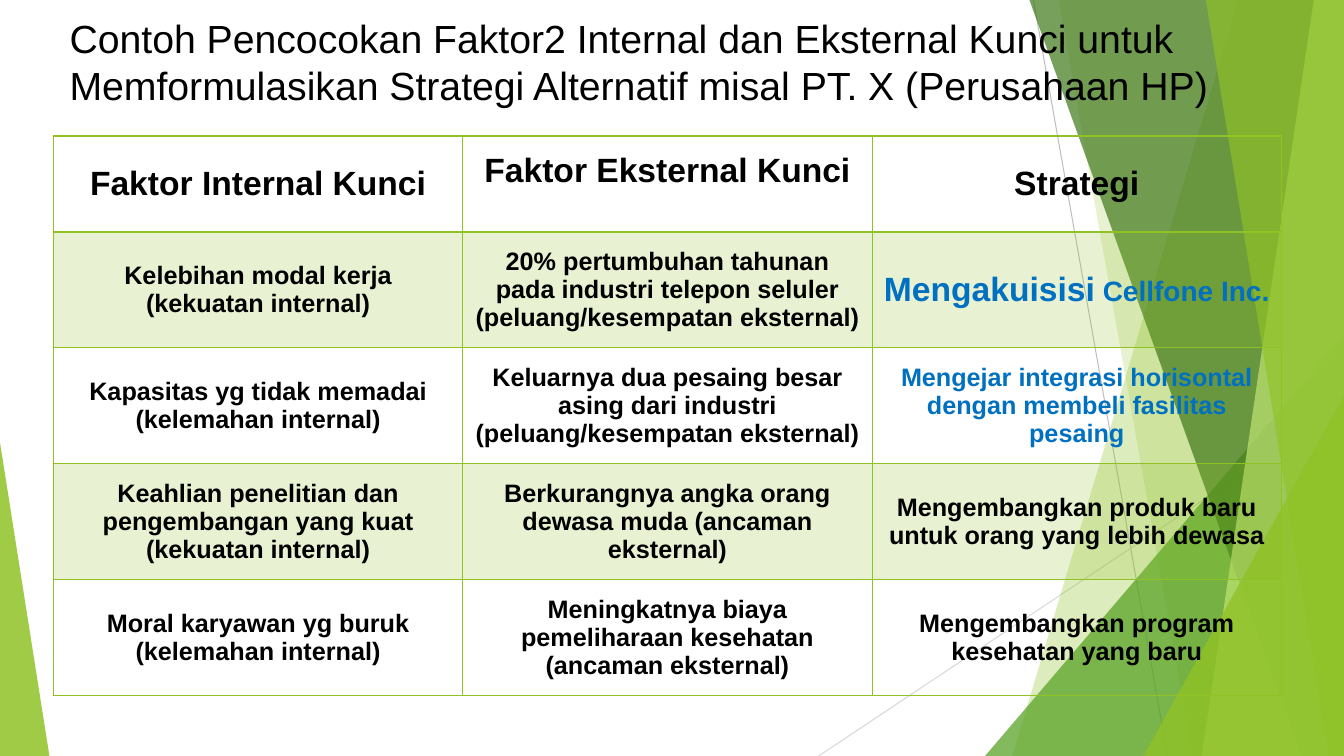
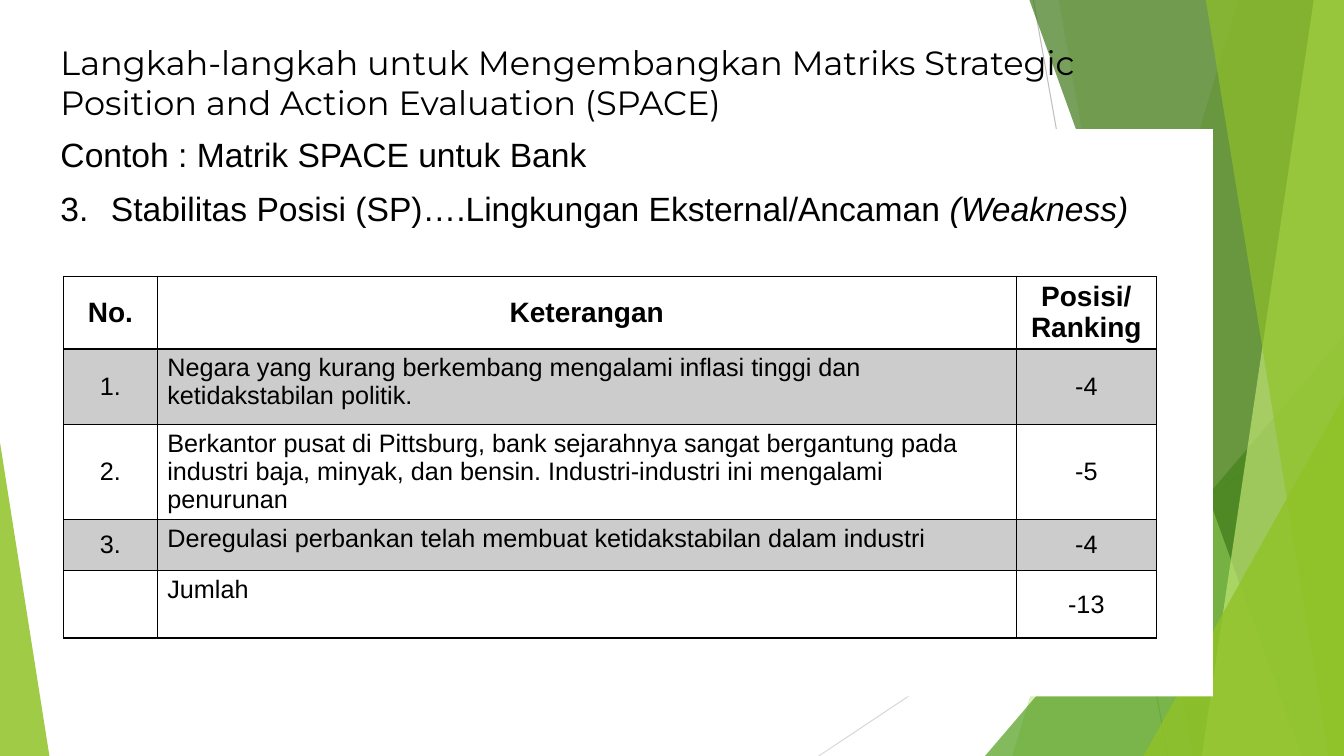
from lxml import etree
from pptx import Presentation
from pptx.dml.color import RGBColor
from pptx.enum.shapes import MSO_CONNECTOR, MSO_SHAPE
from pptx.enum.text import MSO_ANCHOR, MSO_AUTO_SIZE, PP_ALIGN
from pptx.oxml.ns import qn
from pptx.util import Inches, Pt

TRIANGLE, STRAIGHT = MSO_SHAPE.ISOSCELES_TRIANGLE, MSO_CONNECTOR.STRAIGHT
TOP, MIDDLE, BOTTOM = MSO_ANCHOR.TOP, MSO_ANCHOR.MIDDLE, MSO_ANCHOR.BOTTOM
LEFT, CENTER = PP_ALIGN.LEFT, PP_ALIGN.CENTER

BLACK = RGBColor(0x00, 0x00, 0x00)
WHITE = RGBColor(0xFF, 0xFF, 0xFF)
BLUE = RGBColor(0x00, 0x70, 0xC0)
LIME = RGBColor(0x90, 0xC2, 0x26)
GREEN = RGBColor(0x54, 0xA0, 0x21)
DARK_GREEN = RGBColor(0x3F, 0x78, 0x19)
PALE_LIME = RGBColor(0xC0, 0xE4, 0x74)
GRAY = RGBColor(0xBF, 0xBF, 0xBF)
LIGHT_GRAY = RGBColor(0xD9, 0xD9, 0xD9)

W, H = 13.33, 7.5
LINES = [((10.25, 0), (11.58, H), GRAY), ((W, 4.03), (8.12, H), LIGHT_GRAY)]
FACETS = [
    ("band", 12.28, 10.04, LIME, 30),
    ("band", 10.5, 11.83, LIME, 20),
    ("triangle", (9.77, 3.33, 3.56, 4.17), 1, GREEN, 72),
    ("band", 10.21, 12.91, DARK_GREEN, 70),
    ("band", 13.03, 11.92, PALE_LIME, 70),
    ("band", 11.96, 13.18, LIME, 65),
    ("triangle", (11.34, 3.93, 1.99, 3.57), 1, LIME, 80),
    ("triangle", (0, 4.39, 0.49, 3.11), 0, LIME, 85),
]

MATCH_TITLE = ("Contoh Pencocokan Faktor2 Internal dan Eksternal Kunci untuk "
               "Memformulasikan Strategi Alternatif misal PT. X (Perusahaan HP)")
MATCH_ROWS = [
    ["Faktor Internal Kunci", "Faktor Eksternal Kunci", "Strategi"],
    ["Kelebihan modal kerja (kekuatan internal)",
     "20% pertumbuhan tahunan pada industri telepon seluler (peluang/kesempatan eksternal)",
     [("Mengakuisisi", dict(size=24, color=BLUE)),
      (" Cellfone Inc.", dict(size=20, color=BLUE))]],
    ["Kapasitas yg tidak memadai (kelemahan internal)",
     "Keluarnya dua pesaing besar asing dari industri (peluang/kesempatan eksternal)",
     [("Mengejar integrasi horisontal dengan membeli fasilitas pesaing", dict(color=BLUE))]],
    ["Keahlian penelitian dan pengembangan yang kuat (kekuatan internal)",
     "Berkurangnya angka orang dewasa muda (ancaman eksternal)",
     "Mengembangkan produk baru untuk orang yang lebih dewasa"],
    ["Moral karyawan yg buruk (kelemahan internal)",
     "Meningkatnya biaya pemeliharaan kesehatan (ancaman eksternal)",
     "Mengembangkan program kesehatan yang baru"],
]

SPACE_TITLE = ("Langkah-langkah untuk Mengembangkan Matriks Strategic "
               "Position and Action Evaluation (SPACE)")
SPACE_INTRO = "Contoh : Matrik SPACE untuk Bank"
SPACE_STEP = [("Stabilitas Posisi (SP)….Lingkungan Eksternal/Ancaman ", {}),
              ("(Weakness)", dict(italic=True))]
SPACE_ROWS = [
    ["No.", "Keterangan", "Posisi/\nRanking"],
    ["1.", "Negara yang kurang berkembang mengalami inflasi tinggi dan "
           "ketidakstabilan politik.", "-4"],
    ["2.", "Berkantor pusat di Pittsburg, bank sejarahnya sangat bergantung pada industri "
           "baja, minyak, dan bensin. Industri-industri ini mengalami penurunan", "-5"],
    ["3.", "Deregulasi perbankan telah membuat ketidakstabilan dalam industri", "-4"],
    ["", "Jumlah", "-13"],
]


def add_run(p, text, size=18, font="Arial", color=BLACK, bold=False, italic=False):
    r = p.add_run()
    r.text = text
    r.font.name, r.font.size = font, Pt(size)
    r.font.bold, r.font.italic = bold, italic
    r.font.color.rgb = color


def fill_solid(fill, color, alpha):
    fill.solid()
    fill.fore_color.rgb = color
    clr = fill._xPr.find(qn("a:solidFill"))[0]
    etree.SubElement(clr, qn("a:alpha"), val=str(alpha * 1000))


def place(shape, left, top, width, height):
    shape.left, shape.top = Inches(left), Inches(top)
    shape.width, shape.height = Inches(width), Inches(height)


def decorate_master(s, master):
    parts = []
    for start, end, color in LINES:
        line = s.shapes.add_connector(STRAIGHT, *map(Inches, start + end))
        line.line.color.rgb = color
        line.line.width = Pt(0.75)
        etree.SubElement(line._element.spPr, qn("a:effectLst"))
        parts.append(line)
    for kind, where, edge, color, alpha in FACETS:
        if kind == "band":
            outline = s.shapes.build_freeform(Inches(where), 0)
            corners = [(W, 0), (W, H), (edge, H)]
            outline.add_line_segments([(Inches(x), Inches(y)) for x, y in corners])
            facet = outline.convert_to_shape()
        else:
            facet = s.shapes.add_shape(TRIANGLE, *map(Inches, where))
            facet.adjustments[0] = edge
        fill_solid(facet.fill, color, alpha)
        facet.line.fill.background()
        facet.shadow.inherit = False
        parts.append(facet)
    for i, part in enumerate(parts):
        part._element.xpath(".//p:cNvPr")[0].set("id", str(100 + i))
        master.shapes._spTree.insert(2 + i, part._element)


def set_title(s, text, box, anchor, **fmt):
    place(s.shapes.title, *box)
    tf = s.shapes.title.text_frame
    tf.auto_size, tf.vertical_anchor = MSO_AUTO_SIZE.NONE, anchor
    p = tf.paragraphs[0]
    p.alignment = LEFT
    add_run(p, text, **fmt)


def set_borders(cell, color, bottom):
    tcPr = cell._tc.get_or_add_tcPr()
    for i, side in enumerate("LRTB"):
        width = bottom if side == "B" else 1
        ln = etree.Element(qn("a:ln" + side), w=str(Pt(width)))
        solid = etree.SubElement(ln, qn("a:solidFill"))
        etree.SubElement(solid, qn("a:srgbClr"), val=str(color))
        tcPr.insert(i, ln)


def add_grid(s, rows, left, top, widths, heights, color, head_size, body_bold, left_col=None):
    table = s.shapes.add_table(len(rows), len(widths), Inches(left), Inches(top),
                               Inches(sum(widths)), Inches(sum(heights))).table
    table.first_row = table.horz_banding = False
    for col, width in zip(table.columns, widths):
        col.width = Inches(width)
    for i, row in enumerate(rows):
        table.rows[i].height = Inches(heights[i])
        for j, content in enumerate(row):
            cell = table.cell(i, j)
            is_left = i > 0 and j == left_col
            cell.vertical_anchor = TOP if is_left else MIDDLE
            if i % 2:
                fill_solid(cell.fill, color, 20)
            else:
                cell.fill.background()
            set_borders(cell, color, 1 if i else 2)
            base = dict(size=18, bold=body_bold) if i else dict(size=head_size, bold=True)
            lines = content.split("\n") if isinstance(content, str) else [content]
            for k, line in enumerate(lines):
                tf = cell.text_frame
                p = tf.add_paragraph() if k else tf.paragraphs[0]
                p.alignment = LEFT if is_left else CENTER
                runs = [(line, {})] if isinstance(line, str) else line
                for text, fmt in runs:
                    if text:
                        add_run(p, text, **{**base, **fmt})
    return table


def build_match_slide(s):
    set_title(s, MATCH_TITLE, (0.59, 0.09, 12.1, 1.17), TOP, size=28)
    table = add_grid(s, MATCH_ROWS, 0.53, 1.35, [4.06] * 3, [0.95] + [1.15] * 4,
                     LIME, 24, True)
    header = table.cell(0, 1)
    header.vertical_anchor = BOTTOM
    header.margin_bottom = Inches(0.42)


def build_space_slide(s):
    set_title(s, SPACE_TITLE, (0.5, 0.35, 11.53, 0.93), MIDDLE, size=24, font="Montserrat")
    body = s.placeholders[1]
    place(body, 0.5, 1.28, 11.53, 5.63)
    body.fill.solid()
    body.fill.fore_color.rgb = WHITE
    tf = body.text_frame
    tf.auto_size = MSO_AUTO_SIZE.NONE
    intro, step = tf.paragraphs[0], tf.add_paragraph()
    pPr = intro._p.get_or_add_pPr()
    pPr.set("marL", "0")
    pPr.set("indent", "0")
    etree.SubElement(pPr, qn("a:buNone"))
    pPr = step._p.get_or_add_pPr()
    pPr.set("marL", str(Inches(0.5)))
    pPr.set("indent", str(Inches(-0.5)))
    etree.SubElement(pPr, qn("a:buAutoNum"), type="arabicPeriod", startAt="3")
    intro.space_before, step.space_before = Pt(0), Pt(10)
    add_run(intro, SPACE_INTRO, size=24)
    for text, fmt in SPACE_STEP:
        add_run(step, text, size=24, **fmt)
    add_grid(s, SPACE_ROWS, 0.63, 2.74, [0.93, 8.52, 1.39], [0.72, 0.75, 0.94, 0.51, 0.67],
             BLACK, 20, False, left_col=1)


def main():
    prs = Presentation()
    prs.slide_width, prs.slide_height = Inches(W), Inches(H)
    match = prs.slides.add_slide(prs.slide_layouts[5])
    decorate_master(match, prs.slide_master)
    build_match_slide(match)
    build_space_slide(prs.slides.add_slide(prs.slide_layouts[1]))
    prs.save("out.pptx")


if __name__ == "__main__":
    main()
